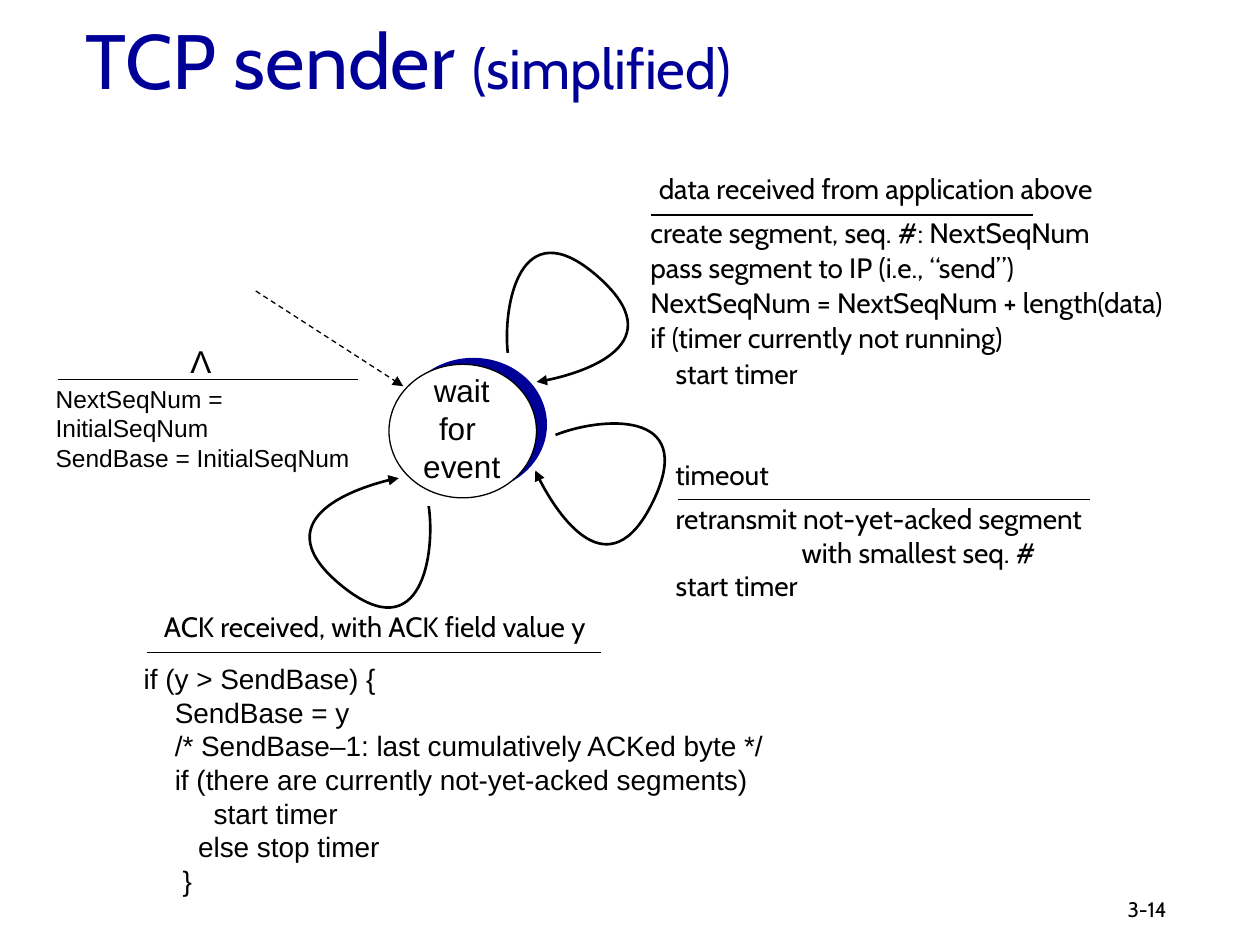
from lxml import etree
from pptx import Presentation
from pptx import util as u
from pptx.dml.color import RGBColor
from pptx.enum import dml, shapes, text
from pptx.oxml.ns import qn

BLACK, NAVY, WHITE = "000000", "000099", "FFFFFF"
CABIN, ARIAL = "Cabin", "Arial"
LEFT, CENTER = text.PP_ALIGN.LEFT, text.PP_ALIGN.CENTER

# A start point, then two cubic curves of three points each.
LOOP = [(290.2, 201.6), (287.3, 175.7), (296.6, 118.8), (341.3, 157.7),
        (385.9, 196.6), (325.4, 216), (306.7, 218.2)]


def color(hex_code):
    return RGBColor.from_string(hex_code)


def add_text(slide, box, lines, size, font, align=LEFT, wrap=False,
             spacing=None, hex_code=BLACK):
    """Add a text box; a line is a string or a (string, indent) pair."""
    shape = slide.shapes.add_textbox(*map(u.Pt, box))
    frame = shape.text_frame
    frame.word_wrap = wrap
    for index, line in enumerate(lines):
        words, indent = line if isinstance(line, tuple) else (line, 0)
        paragraph = frame.paragraphs[0] if index == 0 else frame.add_paragraph()
        paragraph.text = words
        paragraph.alignment = align
        paragraph.line_spacing = spacing
        paragraph.font.size = u.Pt(size)
        paragraph.font.name = font
        paragraph.font.color.rgb = color(hex_code)
        if indent:
            paragraph._p.get_or_add_pPr().set("marL", str(u.Pt(indent)))
    return frame


def set_tab_stop(paragraph, position):
    tabs = etree.Element(qn("a:tabLst"))
    etree.SubElement(tabs, qn("a:tab"), pos=str(u.Pt(position)), algn="l")
    paragraph._p.get_or_add_pPr().insert(0, tabs)


def add_title(slide):
    frame = add_text(slide, (42, 3.5, 612, 60), ["TCP sender "], 44, CABIN,
                     wrap=True, hex_code=NAVY)
    frame.vertical_anchor = text.MSO_ANCHOR.MIDDLE
    run = frame.paragraphs[0].add_run()
    run.text = "(simplified)"
    run.font.size = u.Pt(32)


def style_line(line, width):
    line.color.rgb = color(BLACK)
    line.width = u.Pt(width)


def add_arrowhead(shape):
    line = shape.line._get_or_add_ln()
    etree.SubElement(line, qn("a:tailEnd"), type="triangle")


def add_line(slide, start, end):
    connector = slide.shapes.add_connector(
        shapes.MSO_CONNECTOR.STRAIGHT, *map(u.Pt, start + end))
    style_line(connector.line, 0.75)
    etree.SubElement(connector._element.spPr, qn("a:effectLst"))
    return connector


def add_rule(slide, left, right, y):
    """Separate an event from its actions."""
    add_line(slide, (left, y), (right, y))


def add_ellipse(slide, left, top, fill, outlined):
    shape = slide.shapes.add_shape(
        shapes.MSO_SHAPE.OVAL, *map(u.Pt, (left, top, 84.3, 76.3)))
    shape.shadow.inherit = False
    shape.fill.solid()
    shape.fill.fore_color.rgb = color(fill)
    if outlined:
        style_line(shape.line, 0.75)
    else:
        shape.line.fill.background()


def curve_segments(shape):
    """Turn each three straight segments into one cubic curve."""
    segments = list(shape._element.iter(qn("a:lnTo")))
    for first in range(0, len(segments), 3):
        curve = etree.Element(qn("a:cubicBezTo"))
        segments[first].addprevious(curve)
        for segment in segments[first:first + 3]:
            curve.append(segment[0])
            segment.getparent().remove(segment)


def add_loop(slide, left, top, rotation):
    """Draw a transition that leaves the state and returns to it."""
    start, *controls = [tuple(map(u.Pt, point)) for point in LOOP]
    builder = slide.shapes.build_freeform(*start)
    builder.add_line_segments(controls, close=False)
    shape = builder.convert_to_shape()
    curve_segments(shape)
    shape.left, shape.top, shape.rotation = u.Pt(left), u.Pt(top), rotation
    shape.shadow.inherit = False
    shape.fill.background()
    style_line(shape.line, 1.5)
    add_arrowhead(shape)


def add_state(slide):
    add_ellipse(slide, 228.3, 204.5, NAVY, False)
    add_ellipse(slide, 222.3, 208.2, WHITE, True)
    add_text(slide, (234.7, 208.5, 58.3, 72), ["wait", "for ", "event"],
             18, ARIAL, CENTER)


def add_initial_transition(slide):
    arrow = add_line(slide, (146.2, 166.3), (230.4, 220.7))
    arrow.line.dash_style = dml.MSO_LINE.DASH
    add_arrowhead(arrow)
    add_text(slide, (101.5, 192.2, 26.6, 28.8), ["Λ"], 18, ARIAL, CENTER)
    add_rule(slide, 33, 204.5, 216.8)
    add_text(slide, (24.7, 215.8, 197, 41),
             ["NextSeqNum = InitialSeqNum", "SendBase = InitialSeqNum"],
             14, ARIAL, wrap=True)


def add_data_transition(slide):
    add_text(slide, (362.6, 94.3, 275.8, 26.6),
             ["data received from application above"], 16, CABIN, CENTER)
    add_rule(slide, 372.3, 590.4, 122.8)
    add_text(slide, (364.6, 118.5, 332.6, 127.4), [
        "create segment, seq. #: NextSeqNum",
        "pass segment to IP (i.e., “send”)",
        "NextSeqNum = NextSeqNum + length(data)",
        "if (timer currently not running)",
        ("start timer", 14.4),
    ], 16, CABIN, spacing=1.05)


def add_timeout_transition(slide):
    add_text(slide, (378.4, 257.8, 68.4, 26.6), ["timeout"], 16, CABIN, CENTER)
    add_rule(slide, 387.4, 622.6, 285.6)
    frame = add_text(
        slide, (379, 283.2, 259.2, 64.8),
        ["retransmit not-yet-acked segment\v\twith smallest seq. #", "start timer"],
        16, CABIN, wrap=True)
    set_tab_stop(frame.paragraphs[0], 72)


def add_ack_transition(slide):
    add_text(slide, (78.5, 344.9, 275, 26.6),
             ["ACK received, with ACK field value y "], 16, CABIN, CENTER)
    add_rule(slide, 83.8, 343.6, 372.8)
    add_text(slide, (75, 374.6, 370, 141.8), [
        "if (y > SendBase) {",
        ("SendBase = y", 17.8),
        ("/* SendBase–1: last cumulatively ACKed byte */", 17.8),
        ("if (there are currently not-yet-acked segments)", 17.8),
        ("start timer", 40),
        ("else stop timer", 31.1),
        ("}", 22.2),
    ], 16, ARIAL)


def main():
    presentation = Presentation()
    presentation.slide_width, presentation.slide_height = u.Pt(720), u.Pt(540)
    slide = presentation.slides.add_slide(presentation.slide_layouts[6])
    add_title(slide)
    add_text(slide, (637.2, 509, 71.3, 21.6), ["3-14"], 12, CABIN, wrap=True)
    add_state(slide)
    add_initial_transition(slide)
    add_data_transition(slide)
    add_timeout_transition(slide)
    add_ack_transition(slide)
    for left, top, rotation in [(287.3, 118.8, 0), (312.5, 234.7, 74.5),
                                (150.5, 274.3, 177.9)]:
        add_loop(slide, left, top, rotation)
    presentation.save("out.pptx")


if __name__ == "__main__":
    main()
